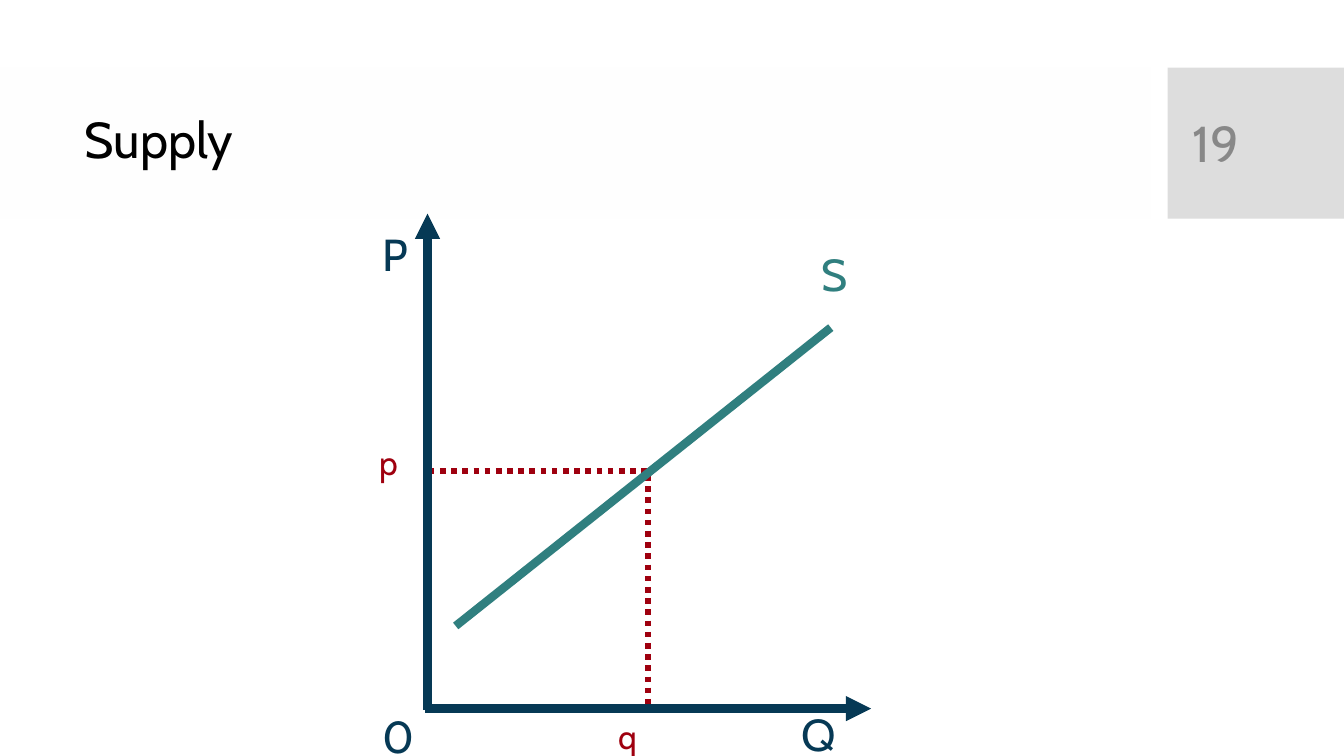
import pptx
import pptx.util
import pptx.dml.color
import pptx.enum.dml
import pptx.enum.shapes
import pptx.enum.text
import pptx.oxml
import pptx.oxml.ns

Inches = pptx.util.Inches
Pt = pptx.util.Pt
ANCHOR = pptx.enum.text.MSO_ANCHOR

COLORS = {
    "band": "FEFEFE",
    "number_box": "DDDDDD",
    "title": "000000",
    "number": "888888",
    "axis": "063955",
    "supply": "307F7F",
    "guide": "9F000F",
}


class SlideBuilder:
    def __init__(self, prs, font="Cabin"):
        self.font = font
        self.slide = prs.slides.add_slide(prs.slide_layouts[5])
        self.shapes = self.slide.shapes

    def color(self, name):
        return pptx.dml.color.RGBColor.from_string(COLORS[name])

    def rect(self, box, fill=None):
        sp = self.shapes.add_shape(
            pptx.enum.shapes.MSO_SHAPE.RECTANGLE, *map(Inches, box))
        sp.shadow.inherit = False
        sp.line.fill.background()
        if fill:
            sp.fill.solid()
            sp.fill.fore_color.rgb = self.color(fill)
        else:
            sp.fill.background()
        return sp

    def dotted_rect(self, box, color, width):
        line = self.rect(box).line
        line.color.rgb = self.color(color)
        line.width = Pt(width)
        line.dash_style = pptx.enum.dml.MSO_LINE.ROUND_DOT

    def set_text(self, sp, text, size, color, insets, anchor):
        tf = sp.text_frame
        tf.word_wrap = True
        tf.auto_size = pptx.enum.text.MSO_AUTO_SIZE.NONE
        tf.vertical_anchor = anchor
        (tf.margin_left, tf.margin_top,
         tf.margin_right, tf.margin_bottom) = map(Inches, insets)
        p = tf.paragraphs[0]
        p.alignment = pptx.enum.text.PP_ALIGN.LEFT
        r = p.add_run()
        r.text = text
        r.font.name = self.font
        r.font.size = Pt(size)
        r.font.color.rgb = self.color(color)
        return p

    def title(self, box, text):
        sp = self.shapes.title
        # Bring the placeholder in front of the band
        self.shapes._spTree.append(sp._element)
        sp.left, sp.top, sp.width, sp.height = map(Inches, box)
        p = self.set_text(sp, text, 36, "title", (0.1, 0.05, 0.1, 0.05), ANCHOR.MIDDLE)
        p.line_spacing = 0.9

    def number(self, box, text):
        sp = self.shapes.add_textbox(*map(Inches, box))
        self.set_text(sp, text, 36, "number", (0.1, 0.05, 0.1, 0.05), ANCHOR.MIDDLE)

    def label(self, box, text, size, color):
        """Add a graph label with a hanging indent."""
        sp = self.shapes.add_textbox(*map(Inches, box))
        p = self.set_text(sp, text, size, color, (0, 0, 0.04, 0), ANCHOR.TOP)
        pPr = p._p.get_or_add_pPr()
        pPr.set("marL", str(Inches(0.54)))
        pPr.set("indent", str(Inches(-0.5)))

    def line(self, start, end, color, arrow=False):
        cxn = self.shapes.add_connector(
            pptx.enum.shapes.MSO_CONNECTOR.STRAIGHT, *map(Inches, start + end))
        cxn.line.color.rgb = self.color(color)
        cxn.line.width = Pt(6)
        if arrow:
            tail = pptx.oxml.parse_xml(
                f'<a:tailEnd {pptx.oxml.ns.nsdecls("a")} type="triangle"/>')
            cxn.line._get_or_add_ln().append(tail)
        cxn._element.spPr.append(pptx.oxml.parse_xml(
            f'<a:effectLst {pptx.oxml.ns.nsdecls("a")}/>'))


def main():
    prs = pptx.Presentation()
    prs.slide_width = Inches(13.33)
    prs.slide_height = Inches(7.5)
    s = SlideBuilder(prs)

    s.rect((0, 0.67, 11.41, 1.5), "band")
    s.rect((11.58, 0.67, 1.75, 1.5), "number_box")
    s.title((0.74, 0.82, 10.51, 1.18), "Supply")
    s.number((11.73, 0.82, 1.26, 1.19), "19")

    s.dotted_rect((4.25, 4.67, 2.18, 2.35), "guide", 4)
    s.line((4.24, 7.04), (4.24, 2.12), "axis", arrow=True)
    s.line((4.22, 7.03), (8.64, 7.03), "axis", arrow=True)
    s.line((4.52, 6.21), (8.24, 3.25), "supply")

    for text, box, size, color in (
        ("Q", (7.91, 7.01, 0.63, 0.76), 32, "axis"),
        ("P", (3.75, 2.25, 0.47, 0.76), 32, "axis"),
        ("0", (3.75, 7.03, 0.46, 0.77), 32, "axis"),
        ("S", (8.11, 2.45, 0.46, 0.67), 32, "supply"),
        ("p", (3.72, 4.38, 0.28, 0.4), 24, "guide"),
        ("q", (6.09, 7.1, 0.28, 0.4), 24, "guide"),
    ):
        s.label(box, text, size, color)

    prs.save("out.pptx")


if __name__ == "__main__":
    main()
